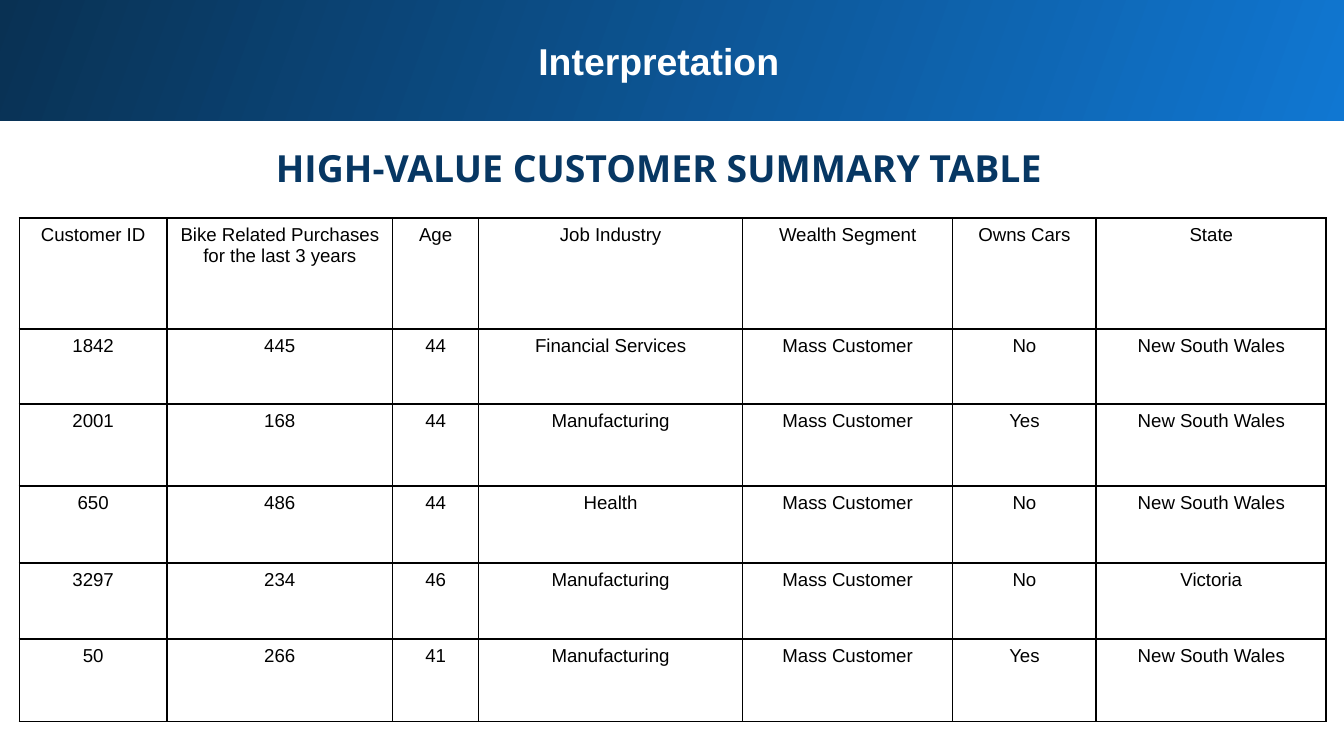
from lxml import etree
from pptx import Presentation
from pptx.dml.color import RGBColor
from pptx.enum import shapes, text
from pptx.oxml.ns import qn
from pptx.util import Pt

HEAD = ["Customer ID", "Bike Related Purchases for the last 3 years", "Age",
        "Job Industry", "Wealth Segment", "Owns Cars", "State"]
MASS, NSW = "Mass Customer", "New South Wales"
BUYERS = [
    ["1842", "445", "44", "Financial Services", MASS, "No", NSW],
    ["2001", "168", "44", "Manufacturing", MASS, "Yes", NSW],
    ["650", "486", "44", "Health", MASS, "No", NSW],
    ["3297", "234", "46", "Manufacturing", MASS, "No", "Victoria"],
    ["50", "266", "41", "Manufacturing", MASS, "Yes", NSW],
]
WIDTHS = [79, 121, 46, 141.5, 112.5, 77, 123.25]
HEIGHTS = [59.5, 40.25, 44, 41, 41, 44]


def color(code):
    return RGBColor.from_string(code)


def place(shape, box):
    for name, value in zip(("left", "top", "width", "height"), box):
        setattr(shape, name, Pt(value))


def write(frame, words, size, font, code, bold=False):
    """Fill a text frame or cell with one centred line of text."""
    frame.text = words
    para = frame.paragraphs[0]
    para.alignment = text.PP_ALIGN.CENTER
    look = {"size": Pt(size), "name": font, "bold": bold}
    for name, value in look.items():
        setattr(para.runs[0].font, name, value)
    para.runs[0].font.color.rgb = color(code)
    return para


def inset(frame):
    look = {"word_wrap": True, "auto_size": text.MSO_AUTO_SIZE.NONE,
            "vertical_anchor": text.MSO_ANCHOR.TOP}
    for side in ("left", "right", "top", "bottom"):
        look["margin_" + side] = Pt(7.2)
    for name, value in look.items():
        setattr(frame, name, value)


def banner(slide, box):
    """Gradient band with the slide title on it."""
    x, y, w, h = box
    band = slide.shapes.add_shape(shapes.MSO_SHAPE.RECTANGLE,
                                  Pt(x), Pt(y), Pt(w), Pt(h))
    band.shadow.inherit = False
    band.line.fill.background()
    band.fill.gradient()
    band.fill.gradient_angle = 160
    for stop, code in zip(band.fill.gradient_stops, ("1077D2", "093153")):
        stop.color.rgb = color(code)
    title = slide.shapes.title
    band._element.addnext(title._element)  # title in front of the band
    place(title, (x + 17.25, y + 15, w - 49, h - 20))
    inset(title.text_frame)
    para = write(title.text_frame, "Interpretation", 20, "Arial", "FFFFFF", True)
    para.line_spacing = 1
    para.space_before = Pt(0)


def heading(slide, box):
    label = slide.shapes.add_textbox(*map(Pt, box))
    inset(label.text_frame)
    para = write(label.text_frame, "HIGH-VALUE CUSTOMER SUMMARY TABLE",
                 20, "Open Sans", "073763", True)
    para.line_spacing = 1.15


def border(cell):
    props = cell._tc.get_or_add_tcPr()
    for side in ("a:lnL", "a:lnR", "a:lnT", "a:lnB"):
        line = etree.SubElement(props, qn(side), w=str(Pt(1)))
        fill = etree.SubElement(line, qn("a:solidFill"))
        etree.SubElement(fill, qn("a:srgbClr"), val="000000")


def grid(slide, box):
    """Customer table with plain black rules."""
    rows = [HEAD] + BUYERS
    table = slide.shapes.add_table(len(rows), len(HEAD), *map(Pt, box)).table
    table.first_row = table.horz_banding = False
    for col, width in zip(table.columns, WIDTHS):
        col.width = Pt(width)
    for row, height, words in zip(table.rows, HEIGHTS, rows):
        row.height = Pt(height)
        for cell, word in zip(row.cells, words):
            write(cell.text_frame, word, 10, "Arial", "000000")
            border(cell)
            cell.fill.background()


def main():
    deck = Presentation()
    deck.slide_width, deck.slide_height = Pt(720), Pt(405)
    slide = deck.slides.add_slide(deck.slide_layouts[5])
    banner(slide, (-1.5, -1.5, 723.5, 66.25))
    heading(slide, (15.75, 67, 674.5, 40.5))
    grid(slide, (10.4, 116.8, sum(WIDTHS), sum(HEIGHTS)))
    deck.save("out.pptx")


if __name__ == "__main__":
    main()
